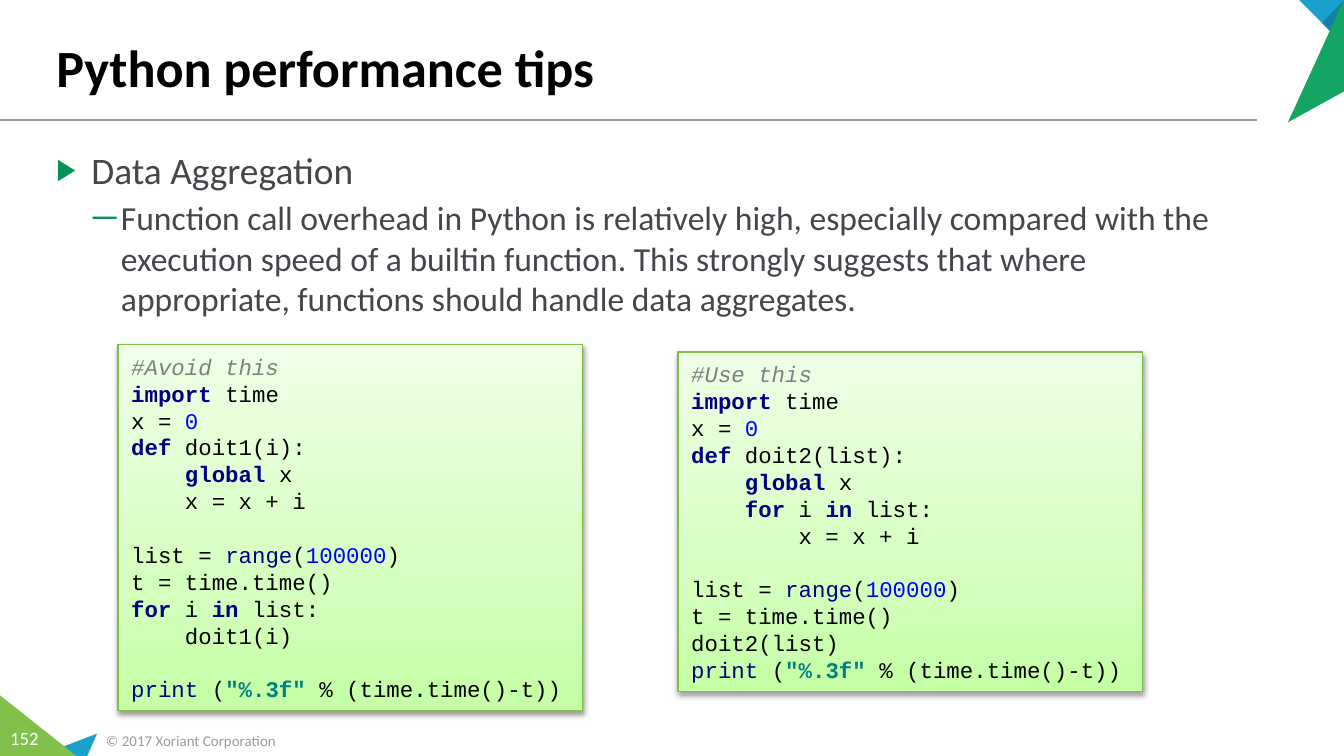
from dataclasses import dataclass
from lxml.etree import SubElement
from pptx import Presentation
from pptx.dml.color import RGBColor
from pptx.enum.shapes import MSO_CONNECTOR as Connector, MSO_SHAPE as Shape
from pptx.enum.text import MSO_ANCHOR as Anchor, MSO_AUTO_SIZE as AutoSize, PP_ALIGN as Align
from pptx.oxml.ns import qn
from pptx.util import Pt


@dataclass(frozen=True)
class Theme:
    font: str = "Calibri"
    code_font: str = "Courier New"
    title: str = "000000"
    text: str = "44464B"
    muted: str = "959AA5"
    white: str = "FFFFFF"
    bullet: str = "049159"
    blue: str = "17A1CC"
    deep_blue: str = "1281A3"
    green: str = "15A563"
    lime: str = "81C14B"
    code_line: str = "7EC046"
    shadow: str = "000000"
    code_stops: tuple = ((0, "C4FFA5"), (35, "D5FFBF"), (100, "EFFFE7"))
    comment: str = "808080"
    keyword: str = "000080"
    number: str = "0000FF"
    string: str = "008080"
    plain: str = "000000"
    title_size: int = 28
    topic_size: int = 20
    detail_size: int = 18
    code_size: int = 12
    page_size: int = 10
    footer_size: int = 8


theme = Theme()


def add_span(para, text, size, color, font=theme.font, bold=False, italic=False):
    span = para.add_run()
    span.text = text
    span.font.name = font
    span.font.size = Pt(size)
    span.font.bold = bold
    span.font.italic = italic
    span.font.color.rgb = RGBColor.from_string(color)


def add_element(parent, tag, **attributes):
    return SubElement(parent, qn(tag), {name: str(value) for name, value in attributes.items()})


deck = Presentation()
deck.slide_width, deck.slide_height = Pt(720), Pt(405)
page = deck.slides.add_slide(deck.slide_layouts[1])
shapes = page.shapes

rule = shapes.add_connector(Connector.STRAIGHT, Pt(0), Pt(64.25), Pt(673.2), Pt(64.25))
rule.line.color.rgb = RGBColor.from_string(theme.muted)
rule.line.width = Pt(1)
add_element(rule._element.spPr, "a:effectLst")

triangles = [
    (theme.blue, (52, 393), (46.8, 405), (20.9, 405)),
    (theme.lime, (0, 372.5), (41, 405), (0, 405)),
    (theme.blue, (696, 0), (720, 0), (720, 24)),
    (theme.deep_blue, (708.25, 12.25), (720, 0), (720, 24)),
    (theme.green, (690, 65.5), (720, 0), (720, 49)),
]
for color, start, *corners in triangles:
    builder = shapes.build_freeform(Pt(start[0]), Pt(start[1]))
    builder.add_line_segments([(Pt(x), Pt(y)) for x, y in corners], close=True)
    triangle = builder.convert_to_shape()
    triangle.shadow.inherit = False
    triangle.fill.solid()
    triangle.fill.fore_color.rgb = RGBColor.from_string(color)
    triangle.line.fill.background()

footer = shapes.add_textbox(Pt(49.7), Pt(388), Pt(168), Pt(17)).text_frame
footer.word_wrap = True
footer.vertical_anchor = Anchor.MIDDLE
add_span(footer.paragraphs[0], "© 2017 Xoriant Corporation", theme.footer_size, theme.muted)

number = shapes.add_textbox(Pt(0), Pt(386), Pt(26), Pt(19.4)).text_frame
number.word_wrap = True
number.margin_left = number.margin_right = Pt(0)
number.paragraphs[0].alignment = Align.CENTER
add_span(number.paragraphs[0], "152", theme.page_size, theme.white)

title = shapes.title
title.left, title.top, title.width, title.height = Pt(23), Pt(4.3), Pt(648), Pt(52)
title.text_frame.auto_size = AutoSize.NONE
title.text_frame.vertical_anchor = Anchor.BOTTOM
para = title.text_frame.paragraphs[0]
para.alignment = Align.LEFT
add_span(para, "Python performance tips", theme.title_size, theme.title, bold=True)

body = page.placeholders[1]
body.left, body.top, body.width, body.height = Pt(23), Pt(75), Pt(660), Pt(103.7)
body.text_frame.auto_size = AutoSize.NONE
points = [
    ("Data Aggregation", theme.topic_size, "▶", 80, 18.7, 18.7, 3),
    ("Function call overhead in Python is relatively high, especially compared with the "
     "execution speed of a builtin function. This strongly suggests that where "
     "appropriate, functions should handle data aggregates.",
     theme.detail_size, "─", 100, 34.6, 15.1, 1),
]
for level, (text, size, mark, scale, indent, hang, after) in enumerate(points):
    para = body.text_frame.paragraphs[0] if level == 0 else body.text_frame.add_paragraph()
    para.level = level
    para.space_before, para.space_after = Pt(0), Pt(after)
    props = para._p.get_or_add_pPr()
    props.set("marL", str(Pt(indent)))
    props.set("indent", str(Pt(-hang)))
    add_element(add_element(props, "a:buClr"), "a:srgbClr", val=theme.bullet)
    add_element(props, "a:buSzPct", val=scale * 1000)
    add_element(props, "a:buChar", char=mark)
    add_span(para, text, size, theme.text)

styles = {
    "comment": dict(color=theme.comment, italic=True),
    "keyword": dict(color=theme.keyword, bold=True),
    "builtin": dict(color=theme.keyword),
    "number": dict(color=theme.number),
    "string": dict(color=theme.string, bold=True),
    "plain": dict(color=theme.plain),
}
setup = [("keyword", "import "), ("plain", "time\nx = "), ("number", "0\n"), ("keyword", "def ")]
scope = ("keyword", "global ")
loop = [("keyword", "for "), ("plain", "i "), ("keyword", "in ")]
timing = [("builtin", "range"), ("plain", "("), ("number", "100000")]
report = [("builtin", "print "), ("plain", "("), ("string", '"%.3f" '),
          ("plain", "% (time.time()-t))")]
avoid = [("comment", "#Avoid this\n"), *setup, ("plain", "doit1(i):\n    "), scope,
         ("plain", "x\n    x = x + i\n\nlist = "), *timing,
         ("plain", ")\nt = time.time()\n"), *loop,
         ("plain", "list:\n    doit1(i)\n\n"), *report]
prefer = [("comment", "#Use this\n"), *setup, ("plain", "doit2(list):\n    "), scope,
          ("plain", "x\n    "), *loop, ("plain", "list:\n        x = x + i\n\nlist = "), *timing,
          ("plain", ")\nt = time.time()\ndoit2(list)\n"), *report]

for left, top, height, code in [(63.2, 184.5, 196.3, avoid), (363.2, 188.6, 181.8, prefer)]:
    box = shapes.add_shape(Shape.RECTANGLE, Pt(left), Pt(top), Pt(249), Pt(height))
    box.fill.gradient()
    box.fill.gradient_angle = 90
    stops = box._element.spPr.find(qn("a:gradFill")).find(qn("a:gsLst"))
    stops.clear()
    for position, color in theme.code_stops:
        stop = add_element(stops, "a:gs", pos=position * 1000)
        add_element(stop, "a:srgbClr", val=color)
    box.line.color.rgb = RGBColor.from_string(theme.code_line)
    box.line.width = Pt(0.75)
    box.shadow.inherit = False
    effects = box._element.spPr.find(qn("a:effectLst"))
    shadow = add_element(effects, "a:outerShdw", blurRad=Pt(3.1), dist=Pt(1.6),
                         dir=5400000, rotWithShape=0)
    add_element(add_element(shadow, "a:srgbClr", val=theme.shadow), "a:alpha", val=38000)

    frame = box.text_frame
    frame.word_wrap = False
    frame.auto_size = AutoSize.SHAPE_TO_FIT_TEXT
    frame.vertical_anchor = Anchor.MIDDLE
    para = frame.paragraphs[0]
    para.alignment = Align.LEFT
    for style, text in code:
        for index, piece in enumerate(text.split("\n")):
            if index:
                para.add_line_break()
            if piece:
                add_span(para, piece, theme.code_size, font=theme.code_font, **styles[style])
    for line_break in para._p.findall(qn("a:br")):
        props = add_element(line_break, "a:rPr", sz=theme.code_size * 100)
        add_element(props, "a:latin", typeface=theme.code_font)

deck.save("out.pptx")
